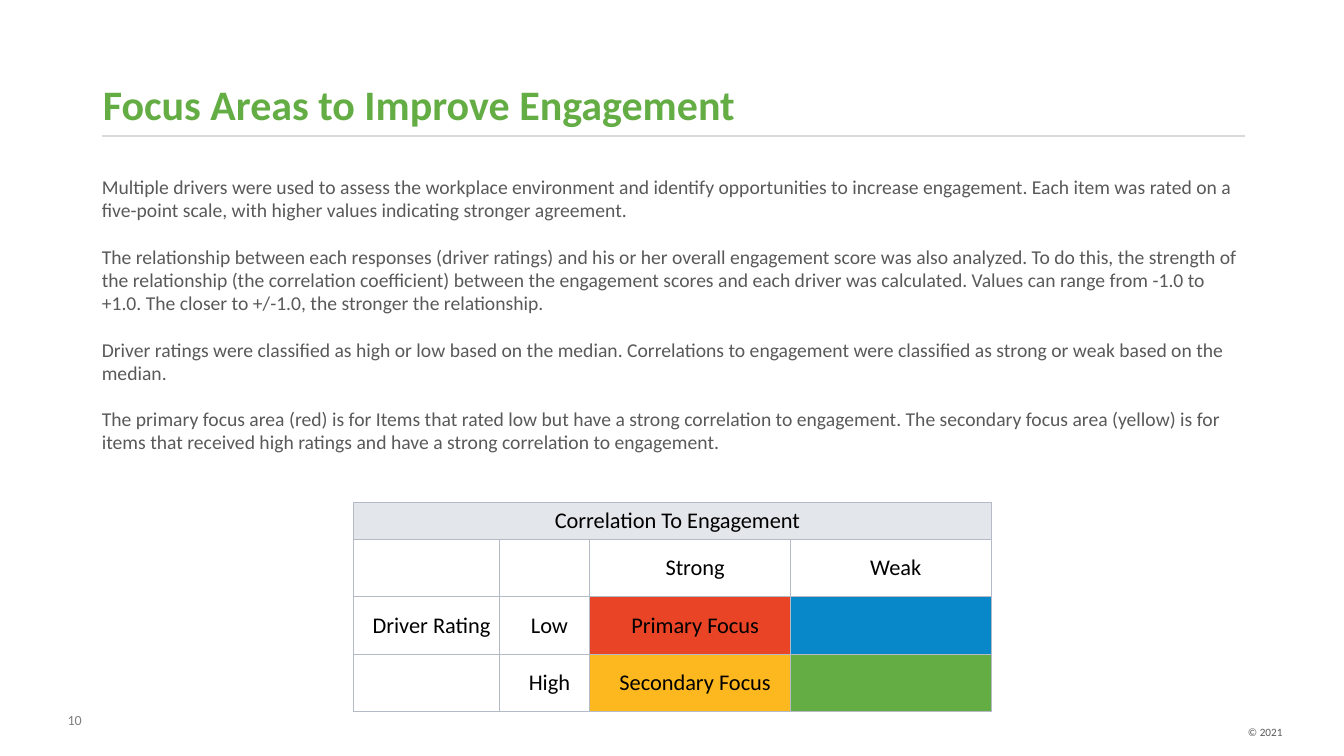
from lxml.etree import SubElement
from pptx import Presentation
from pptx.dml.color import RGBColor
from pptx.enum.shapes import MSO_CONNECTOR as Connector
from pptx.enum.text import MSO_ANCHOR as Anchor, PP_ALIGN as Align
from pptx.oxml.ns import qn
from pptx.util import Inches, Pt

FONT = "Calibri"
GREEN, GREY, BLACK = "63AD44", "595959", "000000"
BORDER, RULE = "B5BBC6", "D9D9D9"

PARAGRAPHS = [
    "Multiple drivers were used to assess the workplace environment and identify "
    "opportunities to increase engagement. Each item was rated on a five-point scale, "
    "with higher values indicating stronger agreement.",
    "The relationship between each responses (driver ratings) and his or her overall "
    "engagement score was also analyzed. To do this, the strength of the relationship "
    "(the correlation coefficient) between the engagement scores and each driver was "
    "calculated. Values can range from -1.0 to +1.0. The closer to +/-1.0, the stronger "
    "the relationship.",
    "Driver ratings were classified as high or low based on the median. Correlations to "
    "engagement were classified as strong or weak based on the median.",
    "The primary focus area (red) is for Items that rated low but have a strong "
    "correlation to engagement. The secondary focus area (yellow) is for items that "
    "received high ratings and have a strong correlation to engagement.",
]

COLUMN_WIDTHS = [1.44, 0.9, 1.99, 1.99]
ROW_HEIGHTS = [0.37, 0.57, 0.57, 0.57]
MATRIX = [
    ["Correlation To Engagement", "", "", ""],
    ["", "", "Strong", "Weak"],
    ["Driver Rating", "Low", "Primary Focus", ""],
    ["", "High", "Secondary Focus", ""],
]
CELL_FILLS = {
    (0, 0): "E3E6EA",
    (2, 2): "E84425",
    (2, 3): "0887C9",
    (3, 2): "FEB81F",
    (3, 3): GREEN,
}


def color(value):
    """Turn a hex string into a colour."""
    return RGBColor.from_string(value)


def add_span(para, text, size, fill, bold=False):
    """Add one formatted run to a paragraph."""
    span = para.add_run()
    span.text = text
    span.font.name = FONT
    span.font.size = Pt(size)
    span.font.bold = bold
    span.font.color.rgb = color(fill)


def add_text(page, place, texts, size, fill, bold=False, align=Align.LEFT,
             anchor=Anchor.TOP, insets=(0, 0, 0, 0), gap=0, spacing=1.0):
    """Add a text box with one paragraph per text."""
    box = page.shapes.add_textbox(*map(Inches, place))
    frame = box.text_frame
    frame.word_wrap = True
    frame.vertical_anchor = anchor
    (frame.margin_left, frame.margin_top,
     frame.margin_right, frame.margin_bottom) = map(Inches, insets)
    for index, text in enumerate(texts):
        para = frame.add_paragraph() if index else frame.paragraphs[0]
        para.alignment = align
        para.line_spacing = spacing
        para.space_before = Pt(gap if index else 0)
        add_span(para, text, size, fill, bold)


def add_rule(page, left, right, top):
    """Draw the horizontal rule under the title."""
    rule = page.shapes.add_connector(
        Connector.STRAIGHT, Inches(left), Inches(top), Inches(right), Inches(top))
    rule.line.color.rgb = color(RULE)
    rule.line.width = Pt(2)
    SubElement(rule._element.spPr, qn("a:effectLst"))


def add_borders(cell):
    """Give a table cell thin borders on all four sides."""
    properties = cell._tc.get_or_add_tcPr()
    for side in ("lnL", "lnR", "lnT", "lnB"):
        line = SubElement(properties, qn(f"a:{side}"), w=str(Pt(0.75)))
        solid = SubElement(line, qn("a:solidFill"))
        SubElement(solid, qn("a:srgbClr"), val=BORDER)


def format_cell(cell, text, fill):
    """Set the text, borders and fill of a table cell."""
    cell.margin_left = Inches(0.1)
    cell.margin_top = cell.margin_right = cell.margin_bottom = 0
    cell.vertical_anchor = Anchor.MIDDLE
    add_borders(cell)
    if fill:
        cell.fill.solid()
        cell.fill.fore_color.rgb = color(fill)
    else:
        cell.fill.background()
    if text:
        para = cell.text_frame.paragraphs[0]
        para.alignment = Align.CENTER
        add_span(para, text, 16, BLACK)


def add_matrix(page, left, top):
    """Add the table of driver ratings against correlation."""
    frame = page.shapes.add_table(
        len(ROW_HEIGHTS), len(COLUMN_WIDTHS), Inches(left), Inches(top),
        Inches(sum(COLUMN_WIDTHS)), Inches(sum(ROW_HEIGHTS)))
    table = frame.table
    table.first_row = table.horz_banding = False
    for column, width in zip(table.columns, COLUMN_WIDTHS):
        column.width = Inches(width)
    for row, height in zip(table.rows, ROW_HEIGHTS):
        row.height = Inches(height)
    table.cell(0, 0).merge(table.cell(0, len(COLUMN_WIDTHS) - 1))
    for row, texts in enumerate(MATRIX):
        for column, text in enumerate(texts):
            format_cell(table.cell(row, column), text, CELL_FILLS.get((row, column)))


def main():
    """Build the focus areas slide and save it."""
    deck = Presentation()
    deck.slide_width, deck.slide_height = Inches(13.33), Inches(7.5)
    page = deck.slides.add_slide(deck.slide_layouts[6])
    add_text(page, (12.18, 7.15, 0.64, 0.23), ["© 2021"], 8, GREY,
             align=Align.RIGHT, insets=(0.1, 0.05, 0.1, 0.05))
    add_rule(page, 1.01, 12.35, 1.35)
    add_text(page, (1.02, 0.77, 11.32, 0.56), ["Focus Areas to Improve Engagement"],
             30, GREEN, bold=True, anchor=Anchor.BOTTOM, insets=(0, 0, 0, 0.05))
    add_text(page, (0.22, 7.06, 0.59, 0.21), ["10"], 10, "7F7F7F", align=Align.RIGHT)
    add_text(page, (1.01, 1.75, 11.32, 4.75), PARAGRAPHS, 14, GREY,
             gap=16.8, spacing=0.98)
    add_matrix(page, 3.51, 4.98)
    deck.save("out.pptx")


main()
